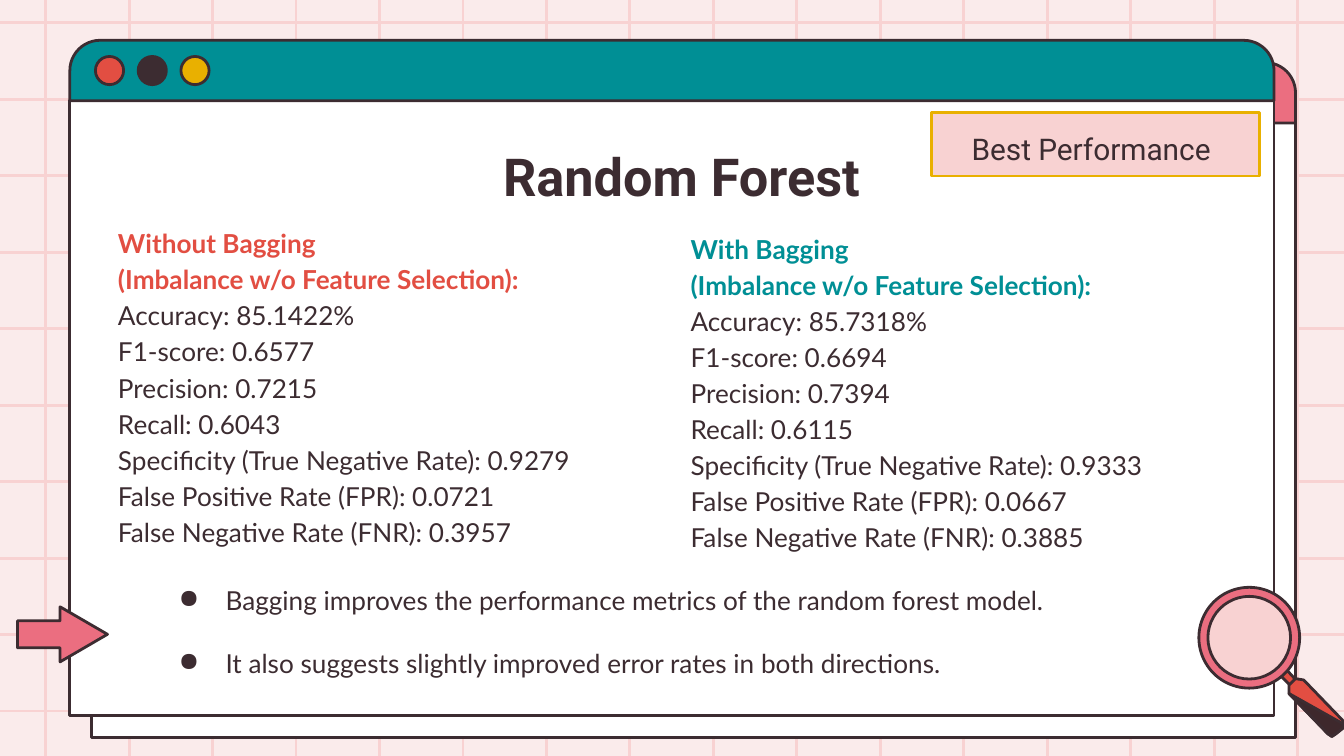
from dataclasses import dataclass

from pptx import Presentation
from pptx.dml.color import RGBColor
from pptx.enum.shapes import MSO_CONNECTOR, MSO_SHAPE
from pptx.enum.text import MSO_ANCHOR, MSO_AUTO_SIZE, PP_ALIGN
from pptx.oxml.ns import qn
from pptx.util import Emu, Inches, Pt

STRAIGHT = MSO_CONNECTOR.STRAIGHT
RECTANGLE, OVAL, DONUT = MSO_SHAPE.RECTANGLE, MSO_SHAPE.OVAL, MSO_SHAPE.DONUT
ROUND_TOP, RIGHT_ARROW = MSO_SHAPE.ROUND_2_SAME_RECTANGLE, MSO_SHAPE.RIGHT_ARROW
TOP, MIDDLE = MSO_ANCHOR.TOP, MSO_ANCHOR.MIDDLE
CENTER, LEFT = PP_ALIGN.CENTER, PP_ALIGN.LEFT

# The slide is a grid of 100 columns by 56.25 rows of square cells
COLUMNS, ROWS = 100, 56.25
CELL = Inches(10) / COLUMNS


@dataclass(frozen=True)
class Theme:
    ink: str = "3C2C31"
    paper: str = "FFFFFF"
    backdrop: str = "FAEBEB"
    blush: str = "F8D2D2"
    pink: str = "EB6E80"
    red: str = "E24E42"
    teal: str = "008F95"
    gold: str = "E9B000"
    shade: str = "3E282C"
    heading_font: str = "Roboto"
    body_font: str = "Lato"
    title_size: float = 28
    badge_size: float = 16
    body_size: float = 14
    outline: float = 1.5


@dataclass(frozen=True)
class Box:
    col: float
    row: float
    cols: float
    rows: float

    def emu(self) -> tuple[Emu, ...]:
        return tuple(cells(n) for n in (self.col, self.row, self.cols, self.rows))


@dataclass(frozen=True)
class Result:
    name: str
    color: str
    box: Box
    scores: tuple[str, ...]


THEME = Theme()
CONDITION = "(Imbalance w/o Feature Selection):"
METRICS = ("Accuracy", "F1-score", "Precision", "Recall",
           "Specificity (True Negative Rate)",
           "False Positive Rate (FPR)", "False Negative Rate (FNR)")
RESULTS = (
    Result("Without Bagging", THEME.red, Box(7.8, 15.6, 37.7, 25.5),
           ("85.1422%", "0.6577", "0.7215", "0.6043", "0.9279", "0.0721", "0.3957")),
    Result("With Bagging", THEME.teal, Box(50.4, 16, 37.7, 24.8),
           ("85.7318%", "0.6694", "0.7394", "0.6115", "0.9333", "0.0667", "0.3885")),
)
FINDINGS = ("Bagging improves the performance metrics of the random forest model.",
            "It also suggests slightly improved error rates in both directions.")


def cells(count: float) -> Emu:
    return Emu(round(count * CELL))


def rgb(color: str) -> RGBColor:
    return RGBColor.from_string(color)


def paint(shape, fill: str, line: str = THEME.ink) -> None:
    shape.shadow.inherit = False
    shape.fill.solid()
    shape.fill.fore_color.rgb = rgb(fill)
    shape.line.color.rgb = rgb(line)
    shape.line.width = Pt(THEME.outline)


def add_part(slide, kind, box: Box, fill: str, line: str = THEME.ink,
             adjust: tuple[float, ...] = ()):
    part = slide.shapes.add_shape(kind, *box.emu())
    for index, value in enumerate(adjust):
        part.adjustments[index] = value
    paint(part, fill, line)
    return part


def add_outline(slide, points: list[tuple[float, float]], fill: str) -> None:
    start, *rest = [(cells(x), cells(y)) for x, y in points]
    builder = slide.shapes.build_freeform(*start)
    builder.add_line_segments(rest, close=True)
    paint(builder.convert_to_shape(), fill)


def add_grid_line(slide, start: tuple[float, float], end: tuple[float, float]) -> None:
    line = slide.shapes.add_connector(STRAIGHT, *map(cells, start + end))
    line.line.color.rgb = rgb(THEME.blush)
    line.line.width = Pt(THEME.outline)
    properties = line._element.spPr
    properties.append(properties.makeelement(qn("a:effectLst"), {}))


def add_window(slide, col: float, row: float, bar: str) -> None:
    add_part(slide, RECTANGLE, Box(col, row + 4.5, 89.6, 45.75), THEME.paper)
    add_part(slide, ROUND_TOP, Box(col, row, 89.6, 4.5), bar, adjust=(0.5, 0))


def set_text(shape, text: str, font: str, size: float, color: str = THEME.ink,
             bold: bool = False, align=LEFT, anchor=TOP):
    frame = shape.text_frame
    frame.text = text
    frame.word_wrap = True
    frame.auto_size = MSO_AUTO_SIZE.NONE
    frame.vertical_anchor = anchor
    frame.margin_left = frame.margin_right = cells(1)
    frame.margin_top = frame.margin_bottom = cells(1)
    for paragraph in frame.paragraphs:
        paragraph.alignment = align
        for run in paragraph.runs:
            run.font.name, run.font.size, run.font.bold = font, Pt(size), bold
            run.font.color.rgb = rgb(color)
    return frame


def add_result(slide, result: Result) -> None:
    scores = [f"{metric}: {score}" for metric, score in zip(METRICS, result.scores)]
    frame = set_text(slide.shapes.add_textbox(*result.box.emu()),
                     "\n".join([result.name, CONDITION, *scores]),
                     THEME.body_font, THEME.body_size)
    for paragraph in frame.paragraphs:
        paragraph.line_spacing = 1.15
    for heading in frame.paragraphs[:2]:
        heading.runs[0].font.bold = True
        heading.runs[0].font.color.rgb = rgb(result.color)


def add_bullet(paragraph) -> None:
    properties = paragraph._p.get_or_add_pPr()
    properties.set("marL", str(cells(5)))
    properties.set("indent", str(cells(-3.5)))
    color = properties.makeelement(qn("a:buClr"), {})
    color.append(color.makeelement(qn("a:srgbClr"), {"val": THEME.ink}))
    properties.append(color)
    properties.append(properties.makeelement(qn("a:buChar"), {"char": "●"}))


def add_magnifier(slide) -> None:
    grip_end = [(99.9, 54.2), (99.4, 54.6), (99.1, 54.8), (98.8, 54.6)]
    add_outline(slide, [(96.3, 51.3), (96.7, 50.9), (95.6, 49.7), (95.2, 50.2)],
                THEME.red)
    add_outline(slide, [(95.9, 51.6), (95.9, 51), (96.4, 50.5), (97, 50.6),
                        (99.9, 53.6), (100, 53.9), *grip_end], THEME.red)
    add_outline(slide, [(95.9, 51.6), (100, 53.9), *grip_end], THEME.shade)
    add_part(slide, OVAL, Box(89.6, 44.1, 6.7, 6.7), THEME.blush)
    add_part(slide, DONUT, Box(89.2, 43.7, 7.5, 7.5), THEME.pink, adjust=(0.09,))


def main() -> None:
    deck = Presentation()
    deck.slide_width, deck.slide_height = cells(COLUMNS), cells(ROWS)
    slide = deck.slides.add_slide(deck.slide_layouts[5])
    slide.background.fill.solid()
    slide.background.fill.fore_color.rgb = rgb(THEME.backdrop)

    # Checked backdrop
    for index in range(16):
        col = 3.4 + 6.21 * index
        add_grid_line(slide, (col, 0), (col, ROWS))
    for index in range(10):
        row = 1.7 + 5.69 * index
        add_grid_line(slide, (0, row), (COLUMNS, row))

    # Stacked windows with the front one's buttons
    add_window(slide, 6.8, 4.65, THEME.pink)
    add_window(slide, 5.2, 3, THEME.teal)
    for index, color in enumerate((THEME.red, THEME.ink, THEME.gold)):
        add_part(slide, OVAL, Box(7.1 + 3.18 * index, 4.2, 2.1, 2.1), color)

    # Title, moved in front of the windows
    title = slide.shapes.title
    title.left, title.top, title.width, title.height = Box(10.5, 9.7, 80.4, 6.3).emu()
    set_text(title, "Random Forest", THEME.heading_font, THEME.title_size,
             bold=True, align=CENTER)
    slide.shapes._spTree.append(title._element)

    # Model results
    for result in RESULTS:
        add_result(slide, result)

    # Decorations
    add_magnifier(slide)
    add_part(slide, RIGHT_ARROW, Box(1.3, 45.15, 6.7, 4.1), THEME.pink,
             adjust=(0.49, 0.86))

    # Badge
    badge = add_part(slide, RECTANGLE, Box(69.3, 8.4, 24.4, 4.7), THEME.blush, THEME.gold)
    label = set_text(badge, "Best Performance", THEME.heading_font, THEME.badge_size,
                     align=CENTER, anchor=MIDDLE)
    label.margin_top = label.margin_right = cells(1.6)

    # Findings
    findings = set_text(slide.shapes.add_textbox(*Box(10.8, 42.5, 75.5, 8.6).emu()),
                        "\n".join(FINDINGS), THEME.body_font, THEME.body_size)
    for paragraph in findings.paragraphs:
        add_bullet(paragraph)
    findings.paragraphs[1].space_before = Pt(1.2 * THEME.body_size)

    deck.save("out.pptx")


if __name__ == "__main__":
    main()
